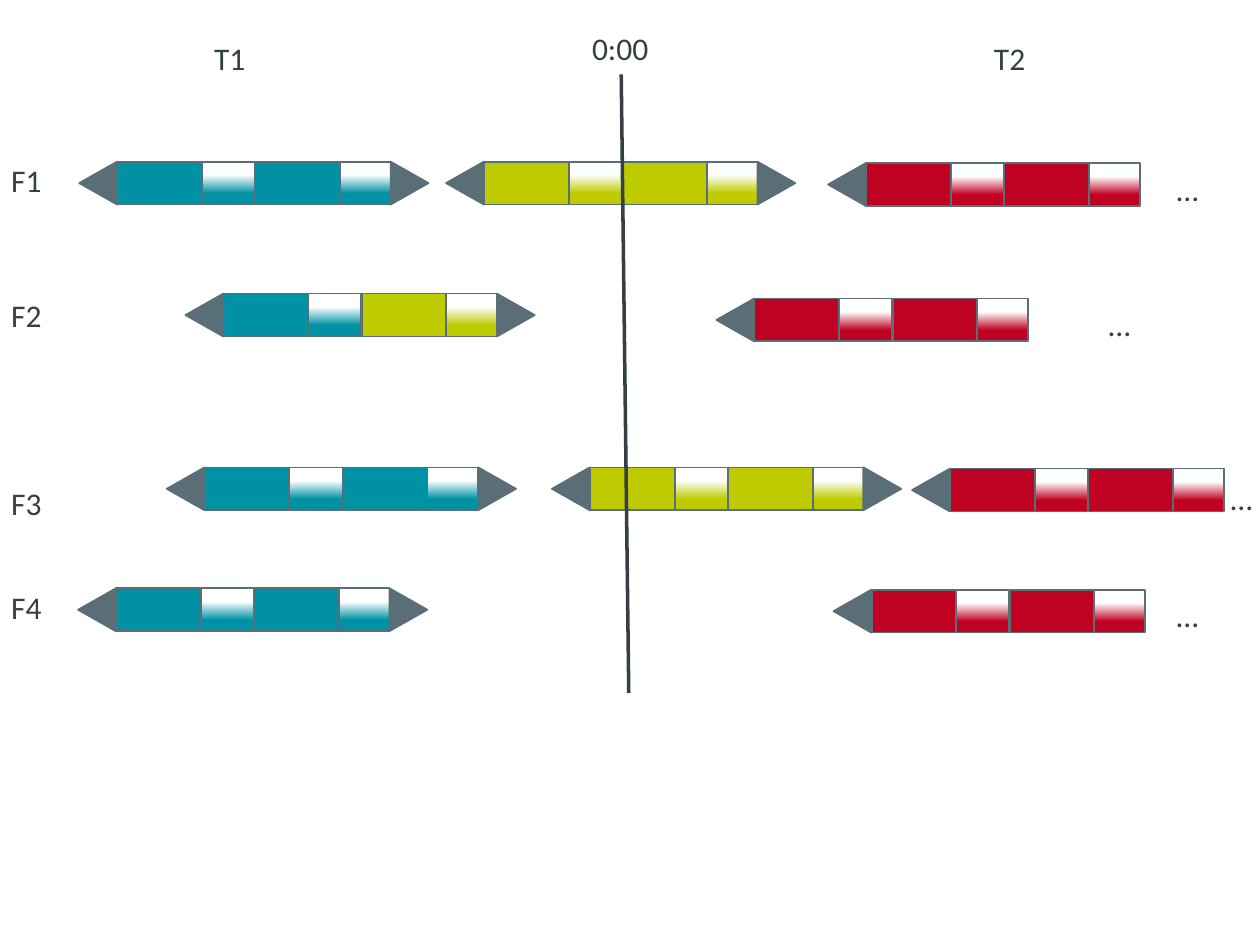
import pptx
import pptx.dml.color
import pptx.enum.shapes
import pptx.enum.text
import pptx.oxml
import pptx.oxml.ns
import pptx.util

Pt = pptx.util.Pt
Shape = pptx.enum.shapes.MSO_SHAPE

TEAL, LIME, RED = "0091A5", "BECB00", "C00222"
SLATE, INK, WHITE = "5A6E78", "344046", "FFFFFF"

BLOCK_WIDTH, FADE_WIDTH, HEIGHT = 48.24, 30.24, 24.48
TIP_LENGTH = 21.6

# Left edge of first block, top, colours of both halves, whether the end is closed
TRAINS = [
    (67.1, 92.4, TEAL, TEAL, True),
    (276.7, 92.4, LIME, LIME, True),
    (495, 93.2, RED, RED, False),
    (127.8, 167.8, TEAL, LIME, True),
    (431.2, 170.6, RED, RED, False),
    (117.1, 267.1, TEAL, TEAL, True),
    (337.2, 267.1, LIME, LIME, True),
    (543, 267.8, RED, RED, False),
    (66.4, 336.2, TEAL, TEAL, True),
    (498.1, 337, RED, RED, False),
]

# Text, left, top, width
LABELS = [
    ("F1", -0.7, 88.6, 32.4),
    ("F2", -0.7, 165.6, 32.4),
    ("F3", -0.7, 272.9, 32.4),
    ("F4", -0.7, 332.6, 32.4),
    ("0:00", 331.2, 13, 46.8),
    ("T1", 115.2, 18.7, 32.4),
    ("T2", 560.9, 18.7, 32.4),
    ("…", 665.3, 93.6, 27.4),
    ("…", 626.4, 170.6, 27.4),
    ("…", 696.2, 270, 27.4),
    ("…", 665.3, 337, 27.4),
]


def color(value):
    return pptx.dml.color.RGBColor.from_string(value)


def add_outlined(page, kind, left, top, width, height):
    shape = page.shapes.add_shape(kind, Pt(left), Pt(top), Pt(width), Pt(height))
    shape.shadow.inherit = False
    shape.line.color.rgb = color(SLATE)
    shape.line.width = Pt(1)
    return shape


def add_block(page, left, top, fill):
    block = add_outlined(page, Shape.RECTANGLE, left, top, BLOCK_WIDTH, HEIGHT)
    block.fill.solid()
    block.fill.fore_color.rgb = color(fill)


def add_fade(page, left, top, fill):
    fade = add_outlined(page, Shape.RECTANGLE, left, top, FADE_WIDTH, HEIGHT)
    fade.fill.gradient()
    fade.fill.gradient_angle = 270
    stops = zip(fade.fill.gradient_stops, (0.31, 0.74), (WHITE, fill))
    for stop, position, value in stops:
        stop.position = position
        stop.color.rgb = color(value)


def add_tip(page, left, top, rotation):
    tip = add_outlined(page, Shape.ISOSCELES_TRIANGLE, left, top + 1.44, HEIGHT, TIP_LENGTH)
    tip.rotation = rotation
    tip.fill.solid()
    tip.fill.fore_color.rgb = color(SLATE)


def add_train(page, left, top, first, second, closed):
    add_block(page, left, top, first)
    add_tip(page, left - 23.2, top, 270)
    add_fade(page, left + 48.4, top, first)
    add_fade(page, left + 126, top, second)
    if closed:
        add_tip(page, left + 154.7, top, 90)
    add_block(page, left + 79, top, second)


def add_label(page, text, left, top, width):
    box = page.shapes.add_textbox(Pt(left), Pt(top), Pt(width), Pt(28.8))
    frame = box.text_frame
    frame.word_wrap = False
    frame.auto_size = pptx.enum.text.MSO_AUTO_SIZE.SHAPE_TO_FIT_TEXT
    para = frame.paragraphs[0]
    para.text = text
    para.font.name = "Calibri"
    para.font.size = Pt(18)
    para.font.color.rgb = color(INK)


def add_time_line(page):
    line = page.shapes.add_connector(
        pptx.enum.shapes.MSO_CONNECTOR.STRAIGHT, Pt(355), Pt(42.5), Pt(359.3), Pt(396))
    line.line.color.rgb = color(INK)
    line.line.width = Pt(2)
    properties = line._element.spPr
    properties.append(properties.makeelement(pptx.oxml.ns.qn("a:effectLst"), {}))


def main():
    deck = pptx.Presentation()
    deck.slide_width, deck.slide_height = Pt(720), Pt(540)
    page = deck.slides.add_slide(deck.slide_layouts[6])

    # Trains of solid and fading blocks
    for train in TRAINS:
        add_train(page, *train)

    # Zero mark, then row, column and continuation labels
    add_time_line(page)
    for label in LABELS:
        add_label(page, *label)

    deck.save("out.pptx")


if __name__ == "__main__":
    main()
